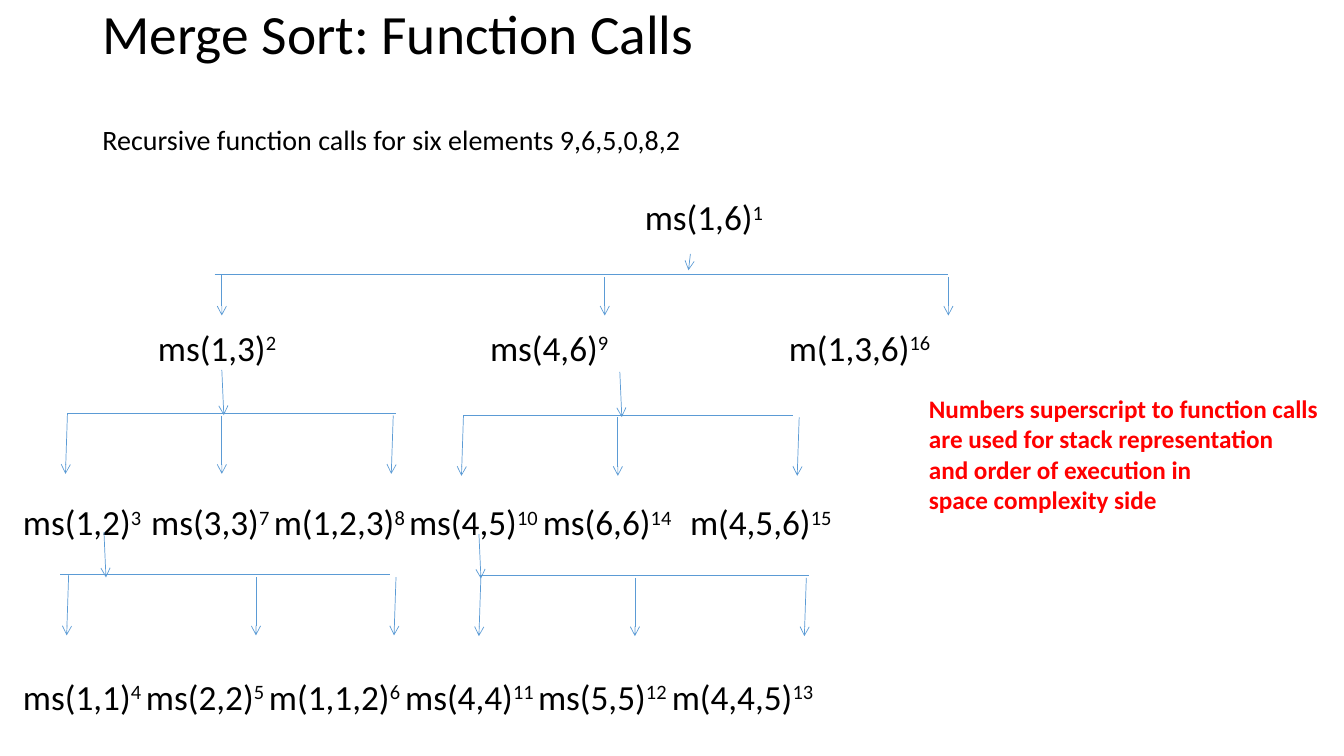
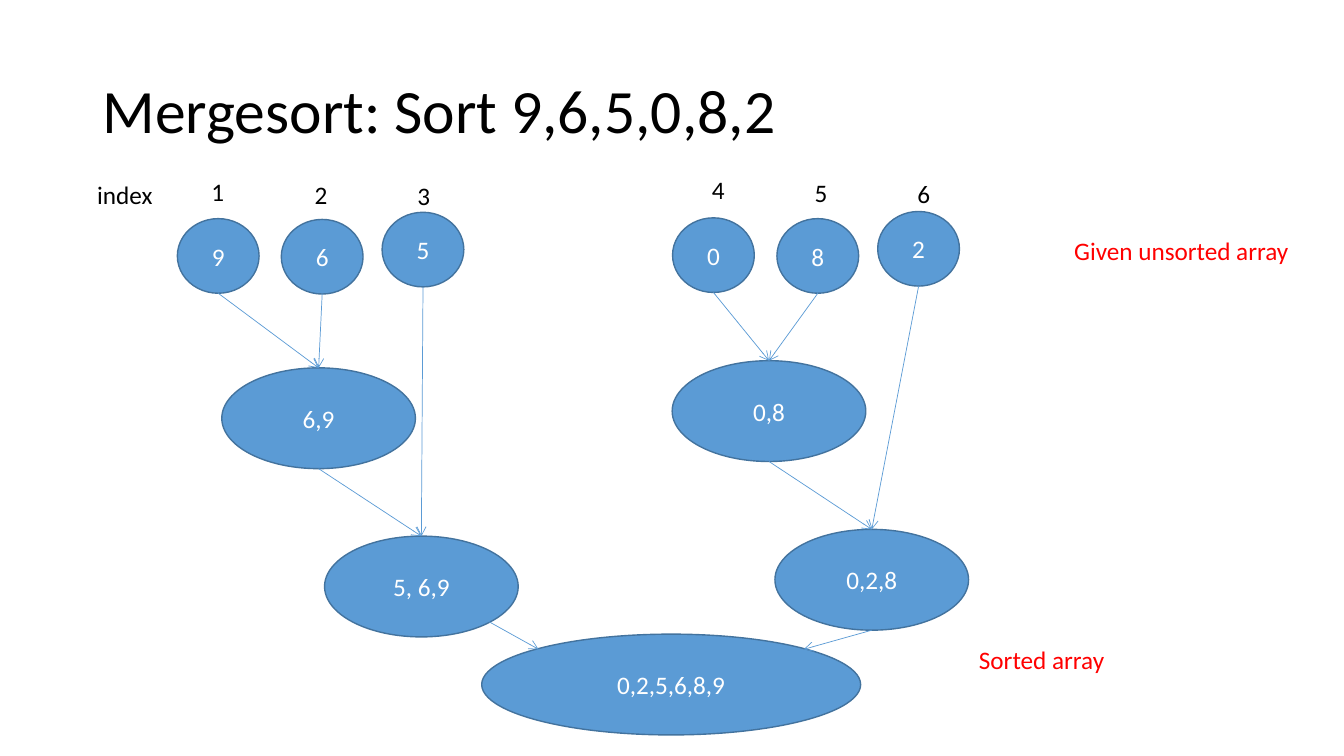
"""Build two slides on merge sort: its tree of calls and its merging of six values."""
from lxml import etree
from pptx import Presentation
from pptx.dml.color import RGBColor
from pptx.enum.shapes import MSO_CONNECTOR, MSO_SHAPE
from pptx.enum.text import MSO_ANCHOR, MSO_AUTO_SIZE, PP_ALIGN
from pptx.oxml.ns import qn
from pptx.util import Cm, Pt

STRAIGHT, OVAL = MSO_CONNECTOR.STRAIGHT, MSO_SHAPE.OVAL
LEFT, CENTER = PP_ALIGN.LEFT, PP_ALIGN.CENTER
MIDDLE, TOP, NO_FIT = MSO_ANCHOR.MIDDLE, MSO_ANCHOR.TOP, MSO_AUTO_SIZE.NONE

BLACK = RGBColor(0x00, 0x00, 0x00)
WHITE = RGBColor(0xFF, 0xFF, 0xFF)
RED = RGBColor(0xFF, 0x00, 0x00)
BLUE = RGBColor(0x5B, 0x9B, 0xD5)
DARK_BLUE = RGBColor(0x43, 0x73, 0x9E)

PLAIN = {"name": "Calibri", "size": Pt(18), "bold": False}
TITLE_FRAME = {"vertical_anchor": MIDDLE, "word_wrap": True, "auto_size": NO_FIT}
LABEL_FRAME = {"vertical_anchor": TOP, "word_wrap": True, "auto_size": NO_FIT}

CALLS_TITLE = "Merge Sort: Function Calls"
CALLS_SUBTITLE = "Recursive function calls for six elements 9,6,5,0,8,2"
CALLS_NOTE = [
    "Numbers superscript to function calls",
    "are used for stack representation",
    "and order of execution in",
    "space complexity side",
]
CALL_SIZE = (4.2, 1.27)
CALL_LEVELS = [
    (4.8, [(16, "ms(1,6)", "1")]),
    (8.09, [(3.73, "ms(1,3)", "2"), (12.1, "ms(4,6)", "9"), (19.63, "m(1,3,6)", "16")]),
    (12.49, [(0.33, "ms(1,2)", "3"), (3.56, "ms(3,3)", "7"), (6.65, "m(1,2,3)", "8"),
             (10.06, "ms(4,5)", "10"), (13.43, "ms(6,6)", "14"), (17.14, "m(4,5,6)", "15")]),
    (16.88, [(0.33, "ms(1,1)", "4"), (3.43, "ms(2,2)", "5"), (6.53, "m(1,1,2)", "6"),
             (9.96, "ms(4,4)", "11"), (13.31, "ms(5,5)", "12"), (16.68, "m(4,4,5)", "13")]),
]
BRANCHES = [
    {"stem": (17.4, 6.4, 17.35, 6.81), "bar": (5.41, 23.9, 6.92),
     "drops": (5.59, 15.24, 23.9), "reach": 1.03, "lean": 0},
    {"stem": (5.59, 9.32, 5.64, 10.46), "bar": (1.7, 9.98, 10.41),
     "drops": (1.7, 5.59, 9.91), "reach": 1.53, "lean": 0.05},
    {"stem": (15.62, 9.37, 15.67, 10.51), "bar": (11.68, 19.99, 10.46),
     "drops": (11.68, 15.57, 20.14), "reach": 1.53, "lean": 0.05},
    {"stem": (2.62, 13.41, 2.67, 14.55), "bar": (1.52, 9.83, 14.48),
     "drops": (1.73, 6.45, 9.98), "reach": 1.53, "lean": 0.05},
    {"stem": (12.07, 13.46, 12.12, 14.58), "bar": (12.09, 20.4, 14.5),
     "drops": (12.12, 16, 20.32), "reach": 1.53, "lean": 0.05},
]

SORT_TITLE = "Mergesort: Sort 9,6,5,0,8,2"
ITEM_SIZE, RUN_SIZE, SORTED_SIZE = (2.06, 1.88), (4.88, 2.54), (9.55, 2.54)
LISTS = {
    "9": (4.47, 5.51, *ITEM_SIZE),
    "6": (7.09, 5.53, *ITEM_SIZE),
    "5": (9.63, 5.35, *ITEM_SIZE),
    "0": (16.95, 5.49, *ITEM_SIZE),
    "8": (19.58, 5.51, *ITEM_SIZE),
    "2": (22.12, 5.33, *ITEM_SIZE),
    "6,9": (5.59, 9.27, *RUN_SIZE),
    "5, 6,9": (8.18, 13.51, *RUN_SIZE),
    "0,8": (16.94, 9.09, *RUN_SIZE),
    "0,2,8": (19.53, 13.34, *RUN_SIZE),
    "0,2,5,6,8,9": (12.14, 15.98, *SORTED_SIZE),
}
SITES = {
    "top": (0.5, 0), "bottom": (0.5, 1), "top left": (0.15, 0.15),
    "top right": (0.85, 0.15), "bottom right": (0.85, 0.85),
}
MERGES = [
    ("9", "bottom", "6,9", "top"),
    ("6", "bottom", "6,9", "top"),
    ("6,9", "bottom", "5, 6,9", "top"),
    ("5", "bottom", "5, 6,9", "top"),
    ("0", "bottom", "0,8", "top"),
    ("8", "bottom", "0,8", "top"),
    ("0,8", "bottom", "0,2,8", "top"),
    ("2", "bottom", "0,2,8", "top"),
    ("5, 6,9", "bottom right", "0,2,5,6,8,9", "top left"),
    ("0,2,8", "bottom", "0,2,5,6,8,9", "top right"),
]
SORT_LABELS = [
    ("Given unsorted array", (26.82, 5.8, 6.5, 1.02), RED),
    ("Sorted array", (24.42, 16.1, 4, 1.02), RED),
    ("index", (2.2, 4.39, 2.2, 1.02), BLACK),
]
INDEX_PLACES = [(5.08, 4.32), (7.68, 4.39), (10.27, 4.42),
                (17.69, 4.27), (20.28, 4.34), (22.87, 4.37)]


def apply(target, values):
    for name, value in values.items():
        setattr(target, name, value)


def write(paragraph, text, color, **changes):
    run = paragraph.add_run()
    run.text = text
    apply(run.font, {**PLAIN, **changes})
    run.font.color.rgb = color
    return run


def add_titled_slide(deck, title, box, size):
    slide = deck.slides.add_slide(deck.slide_layouts[5])
    heading = slide.shapes.title
    apply(heading, dict(zip(("left", "top", "width", "height"), map(Cm, box))))
    apply(heading.text_frame, TITLE_FRAME)
    paragraph = heading.text_frame.paragraphs[0]
    apply(paragraph, {"alignment": LEFT, "line_spacing": 0.9})
    write(paragraph, title, BLACK, size=Pt(size))
    return slide


def add_label(slide, lines, box, color, **changes):
    frame = slide.shapes.add_textbox(*map(Cm, box)).text_frame
    apply(frame, LABEL_FRAME)
    for number, line in enumerate(lines):
        paragraph = frame.add_paragraph() if number else frame.paragraphs[0]
        write(paragraph, line, color, **changes)
    return frame


def add_call(slide, call, order, corner):
    frame = add_label(slide, [call], corner + CALL_SIZE, BLACK, size=Pt(25.2))
    superscript = write(frame.paragraphs[0], order, BLACK, size=Pt(25.2))
    superscript._r.get_or_add_rPr().set("baseline", "30000")


def add_line(slide, ends, arrow=True):
    connector = slide.shapes.add_connector(STRAIGHT, *map(Cm, ends))
    connector.line.width = Pt(0.5)
    connector.line.color.rgb = BLUE
    properties = connector._element.spPr
    if arrow:
        etree.SubElement(properties.find(qn("a:ln")), qn("a:tailEnd"), type="arrow")
    etree.SubElement(properties, qn("a:effectLst"))


def add_branch(slide, stem, bar, drops, reach, lean):
    left, right, level = bar
    add_line(slide, stem)
    add_line(slide, (left, level, right, level), arrow=False)
    for x, offset, tilt in zip(drops, (0, 0.06, 0.06), (lean, 0, lean)):
        add_line(slide, (x, level + offset, x - tilt, level + reach))


def add_list(slide, text, box):
    oval = slide.shapes.add_shape(OVAL, *map(Cm, box))
    oval.shadow.inherit = False
    oval.fill.solid()
    oval.fill.fore_color.rgb = BLUE
    oval.line.color.rgb = DARK_BLUE
    oval.line.width = Pt(1)
    oval.text_frame.vertical_anchor = MIDDLE
    paragraph = oval.text_frame.paragraphs[0]
    paragraph.alignment = CENTER
    write(paragraph, text, WHITE)


def site(text, name):
    left, top, width, height = LISTS[text]
    across, down = SITES[name]
    return left + across * width, top + down * height


def build_calls(deck):
    slide = add_titled_slide(deck, CALLS_TITLE, (2.33, 0.03, 29.21, 1.78), 39.6)
    add_label(slide, [CALLS_SUBTITLE], (2.33, 2.97, 20, 1.02), BLACK, size=Pt(20))
    for top, calls in CALL_LEVELS:
        for left, call, order in calls:
            add_call(slide, call, order, (left, top))
    for branch in BRANCHES:
        add_branch(slide, **branch)
    add_label(slide, CALLS_NOTE, (23.16, 9.79, 10.6, 3.33), RED, bold=True)


def build_sort(deck):
    slide = add_titled_slide(deck, SORT_TITLE, (2.33, 1.02, 29.21, 3.68), 44)
    for text, box in LISTS.items():
        add_list(slide, text, box)
    for source, start, target, end in MERGES:
        add_line(slide, site(source, start) + site(target, end))
    for text, box, color in SORT_LABELS:
        add_label(slide, [text], box, color)
    for index, corner in enumerate(INDEX_PLACES, 1):
        add_label(slide, [str(index)], (*corner, 0.84, 1.02), BLACK)


def main():
    deck = Presentation()
    apply(deck, {"slide_width": Cm(33.87), "slide_height": Cm(19.05)})
    build_calls(deck)
    build_sort(deck)
    deck.save("out.pptx")


if __name__ == "__main__":
    main()
